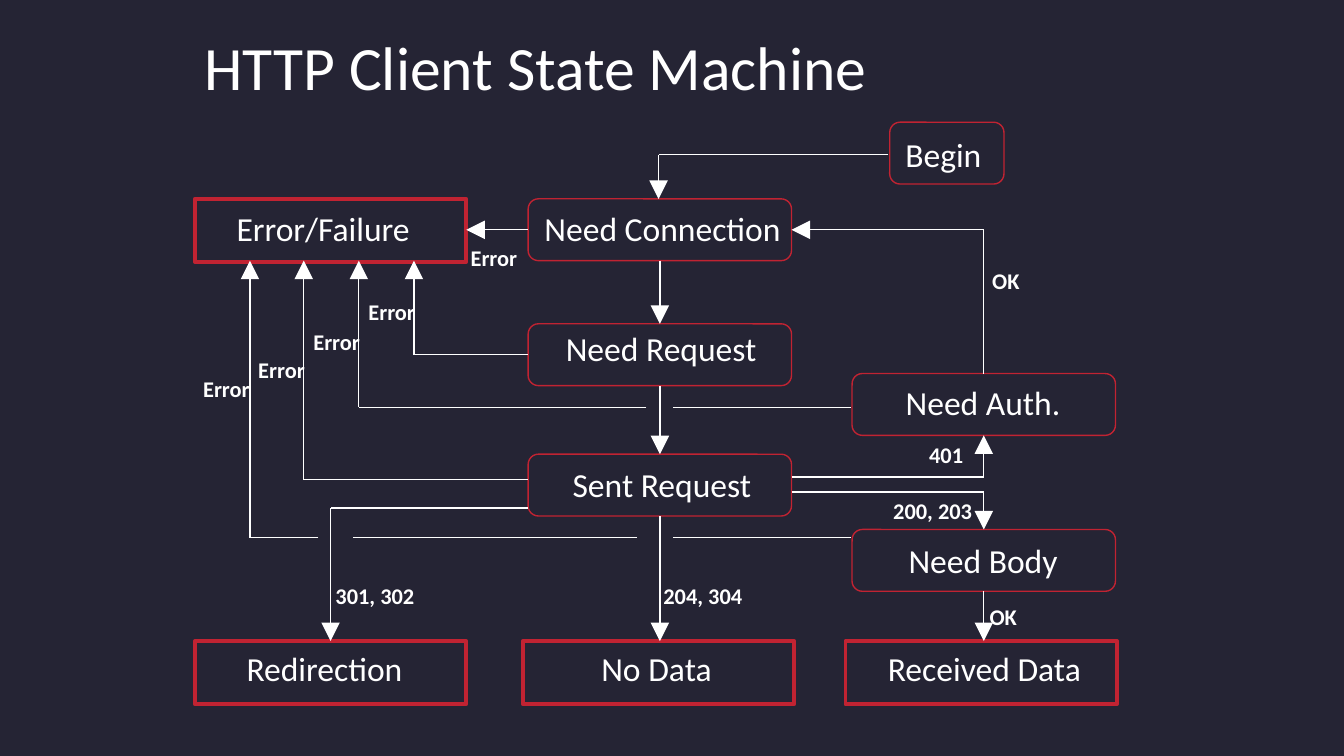
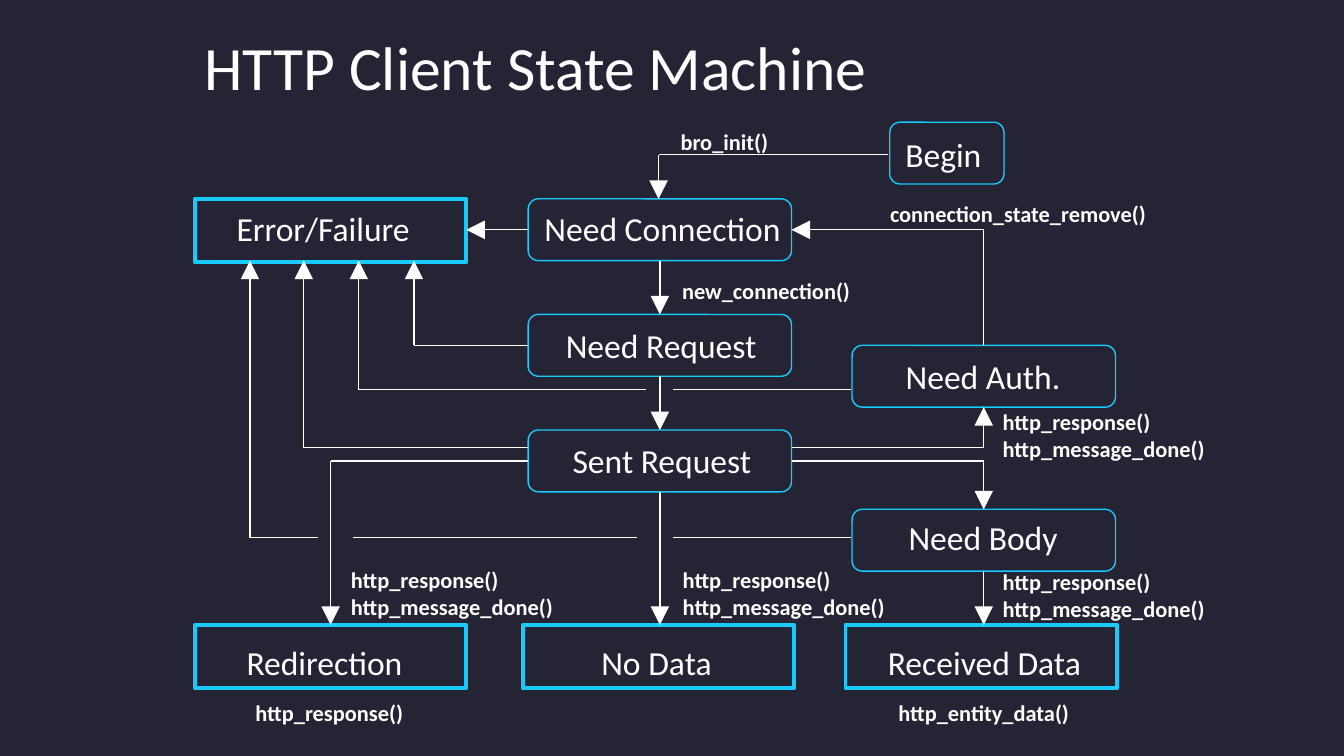
from itertools import pairwise

from lxml import etree
from pptx import Presentation
from pptx.dml.color import RGBColor
from pptx.enum.shapes import MSO_CONNECTOR, MSO_SHAPE
from pptx.enum.text import MSO_ANCHOR, PP_ALIGN
from pptx.oxml.ns import qn
from pptx.util import Inches, Pt

STRAIGHT = MSO_CONNECTOR.STRAIGHT
RECTANGLE = MSO_SHAPE.RECTANGLE
ROUNDED = MSO_SHAPE.ROUNDED_RECTANGLE
TOP, MIDDLE = MSO_ANCHOR.TOP, MSO_ANCHOR.MIDDLE
LEFT, CENTER = PP_ALIGN.LEFT, PP_ALIGN.CENTER

COLORS = {"background": "252434", "white": "FFFFFF", "red": "C12332", "blue": "19CAFF"}
FONT = "Calibri"
STATE_WIDTH, STATE_HEIGHT = 1.96, 0.46
END_WIDTH, END_HEIGHT = 2.02, 0.47
TEXT_HEIGHT, LABEL_HEIGHT = 0.38, 0.23

LEFT_COLUMN, MIDDLE_COLUMN, RIGHT_COLUMN = 1.45, 3.93, 6.34
MIDDLE_AXIS = MIDDLE_COLUMN + STATE_WIDTH / 2
RIGHT_AXIS = RIGHT_COLUMN + STATE_WIDTH / 2
MIDDLE_EDGE = MIDDLE_COLUMN + STATE_WIDTH
REDIRECT_AXIS = 2.46
LANES = [1.86, 2.26, 2.67, 3.08]
CROSSING = (4.81, 5.01)
BEGIN_ROW, BEGIN_LINE = 0.91, 1.15
CONNECTION_ROW = 1.48
CONNECTION_LINE = CONNECTION_ROW + STATE_HEIGHT / 2
ERROR_BOTTOM = CONNECTION_ROW + STATE_HEIGHT
BODY_LINE = 4.0

STATES = [
    ("Begin", ROUNDED, 6.62, 0.85, "begin", 6.27, 1.5),
    ("Need Connection", ROUNDED, MIDDLE_COLUMN, STATE_WIDTH, "connection", 3.94, 1.98),
    ("Need Request", ROUNDED, MIDDLE_COLUMN, STATE_WIDTH, "request", 4.06, 1.72),
    ("Sent Request", ROUNDED, MIDDLE_COLUMN, STATE_WIDTH, "sent", 4.12, 1.61),
    ("Need Auth.", ROUNDED, RIGHT_COLUMN, STATE_WIDTH, "auth", 6.51, 1.61),
    ("Need Body", ROUNDED, RIGHT_COLUMN, STATE_WIDTH, "body", 6.51, 1.61),
    ("Error/Failure", RECTANGLE, LEFT_COLUMN, END_WIDTH, "connection", 1.6, 1.61),
    ("Redirection", RECTANGLE, LEFT_COLUMN, END_WIDTH, "end", 1.61, 1.61),
    ("No Data", RECTANGLE, 3.89, END_WIDTH, "end", 4.08, 1.61),
    ("Received Data", RECTANGLE, 6.29, END_WIDTH, "end", 6.52, 1.61),
]

RESPONSE_DONE = "http_response()\vhttp_message_done()"
MACHINES = [
    {
        "accent": "red",
        "rows": {"request": 2.41, "sent": 3.38, "auth": 2.78, "body": 3.94, "end": 4.77},
        "text_rows": {"request": 2.4, "sent": 3.41, "auth": 2.8, "body": 3.98, "end": 4.78},
        "lines": {"auth_error": 3.03, "sent_error": 3.57, "redirect": 3.78,
                  "to_auth": 3.55, "to_body": 3.66},
        "labels": [
            ("Error", 1.4, 2.75, 0.57, CENTER),
            ("Error", 1.81, 2.61, 0.57, CENTER),
            ("Error", 2.22, 2.4, 0.57, CENTER),
            ("Error", 2.63, 2.18, 0.57, CENTER),
            ("Error", 3.39, 1.78, 0.57, CENTER),
            ("OK", 7.2, 1.95, 0.57, CENTER),
            ("OK", 7.18, 4.45, 0.57, CENTER),
            ("301, 302", 2.37, 4.29, 0.84, CENTER),
            ("204, 304", 4.81, 4.29, 0.84, CENTER),
            ("200, 203", 6.52, 3.66, 0.84, CENTER),
            ("401", 6.62, 3.24, 0.84, CENTER),
        ],
    },
    {
        "accent": "blue",
        "rows": {"request": 2.34, "sent": 3.2, "auth": 2.57, "body": 3.79, "end": 4.65},
        "text_rows": {"request": 2.38, "sent": 3.23, "auth": 2.61, "body": 3.81, "end": 4.74},
        "lines": {"auth_error": 2.9, "sent_error": 3.33, "redirect": 3.43,
                  "to_auth": 3.33, "to_body": 3.43},
        "labels": [
            ("bro_init()", 4.88, 0.91, 1.02, CENTER),
            ("new_connection()", 4.74, 2.02, 1.92, CENTER),
            (RESPONSE_DONE, 2.54, 4.17, 1.92, LEFT),
            ("http_response()", 1.49, 5.16, 1.92, CENTER),
            (RESPONSE_DONE, 5.01, 4.17, 1.92, LEFT),
            ("http_response() http_message_done()", 7.39, 4.19, 1.92, LEFT),
            ("http_entity_data()", 6.36, 5.16, 1.92, CENTER),
            ("connection_state_remove()", 6.53, 1.45, 2.09, CENTER),
            (RESPONSE_DONE, 7.39, 3, 1.92, LEFT),
        ],
    },
]


def add_text(slide, text, left, top, width, height, size, bold=False, align=CENTER, anchor=TOP):
    box = slide.shapes.add_textbox(Inches(left), Inches(top), Inches(width), Inches(height))
    frame = box.text_frame
    frame.word_wrap = True
    frame.vertical_anchor = anchor
    frame.margin_left = frame.margin_right = Inches(0.07)
    frame.margin_top = frame.margin_bottom = Inches(0.04)
    paragraph = frame.paragraphs[0]
    paragraph.text = text
    paragraph.alignment = align
    paragraph.font.name = FONT
    paragraph.font.size = Pt(size)
    paragraph.font.bold = bold
    paragraph.font.color.rgb = RGBColor.from_string(COLORS["white"])


def add_route(slide, points, arrow=True):
    for start, end in pairwise(points):
        connector = slide.shapes.add_connector(STRAIGHT, *map(Inches, start + end))
        connector.line.color.rgb = RGBColor.from_string(COLORS["white"])
        connector.line.width = Pt(0.75)
        properties = connector._element.spPr
        etree.SubElement(properties, qn("a:effectLst"))
    if arrow:
        outline = properties.find(qn("a:ln"))
        etree.SubElement(outline, qn("a:tailEnd"), type="triangle", w="lg", len="lg")


presentation = Presentation()
presentation.slide_width = Inches(10)
presentation.slide_height = Inches(10 * 9 / 16)

for machine in MACHINES:
    slide = presentation.slides.add_slide(presentation.slide_layouts[6])
    slide.background.fill.solid()
    slide.background.fill.fore_color.rgb = RGBColor.from_string(COLORS["background"])
    add_text(slide, "HTTP Client State Machine", 1.45, 0.02, 6.75, 0.94, 33, align=LEFT, anchor=MIDDLE)

    rows = {"begin": BEGIN_ROW, "connection": CONNECTION_ROW, **machine["rows"]}
    text_rows = {"begin": 0.96, "connection": 1.51, **machine["text_rows"]}
    lines = machine["lines"]

    for name, kind, left, width, row, text_left, text_width in STATES:
        height = END_HEIGHT if kind == RECTANGLE else STATE_HEIGHT
        shape = slide.shapes.add_shape(kind, Inches(left), Inches(rows[row]), Inches(width), Inches(height))
        shape.shadow.inherit = False
        shape.fill.background()
        shape.line.color.rgb = RGBColor.from_string(COLORS[machine["accent"]])
        shape.line.width = Pt(2 if kind == RECTANGLE else 0.75)
        add_text(slide, name, text_left, text_rows[row], text_width, TEXT_HEIGHT, 18)

    bottoms = {row: top + STATE_HEIGHT for row, top in rows.items()}
    request_line = rows["request"] + STATE_HEIGHT / 2
    body_lane, sent_lane, auth_lane, request_lane = LANES

    routes = [
        [(6.61, BEGIN_LINE), (4.9, BEGIN_LINE), (4.9, CONNECTION_ROW)],
        [(MIDDLE_COLUMN, CONNECTION_LINE), (LEFT_COLUMN + END_WIDTH, CONNECTION_LINE)],
        [(MIDDLE_AXIS, bottoms["connection"]), (MIDDLE_AXIS, rows["request"])],
        [(MIDDLE_AXIS, bottoms["request"]), (MIDDLE_AXIS, rows["sent"])],
        [(MIDDLE_AXIS, bottoms["sent"]), (MIDDLE_AXIS, rows["end"])],
        [(RIGHT_AXIS, rows["auth"]), (RIGHT_AXIS, CONNECTION_LINE), (MIDDLE_EDGE, CONNECTION_LINE)],
        [(MIDDLE_EDGE, lines["to_auth"]), (RIGHT_AXIS, lines["to_auth"]), (RIGHT_AXIS, bottoms["auth"])],
        [(MIDDLE_EDGE, lines["to_body"]), (RIGHT_AXIS, lines["to_body"]), (RIGHT_AXIS, rows["body"])],
        [(RIGHT_AXIS, bottoms["body"]), (RIGHT_AXIS, rows["end"])],
        [(MIDDLE_COLUMN, lines["redirect"]), (REDIRECT_AXIS, lines["redirect"]), (REDIRECT_AXIS, rows["end"])],
    ]
    for lane, start, line in [
        (request_lane, MIDDLE_COLUMN, request_line),
        (auth_lane, CROSSING[0], lines["auth_error"]),
        (sent_lane, MIDDLE_COLUMN, lines["sent_error"]),
        (body_lane, 2.37, BODY_LINE),
    ]:
        routes.append([(start, line), (lane, line), (lane, ERROR_BOTTOM)])
    for points in routes:
        add_route(slide, points)

    for start, end, line in [
        (6.33, CROSSING[1], lines["auth_error"]),
        (6.33, CROSSING[1], BODY_LINE),
        (4.74, 2.63, BODY_LINE),
    ]:
        add_route(slide, [(start, line), (end, line)], arrow=False)

    for text, left, top, width, align in machine["labels"]:
        height = TEXT_HEIGHT if align == LEFT else LABEL_HEIGHT
        add_text(slide, text, left, top, width, height, 12, bold=True, align=align)

presentation.save("out.pptx")
